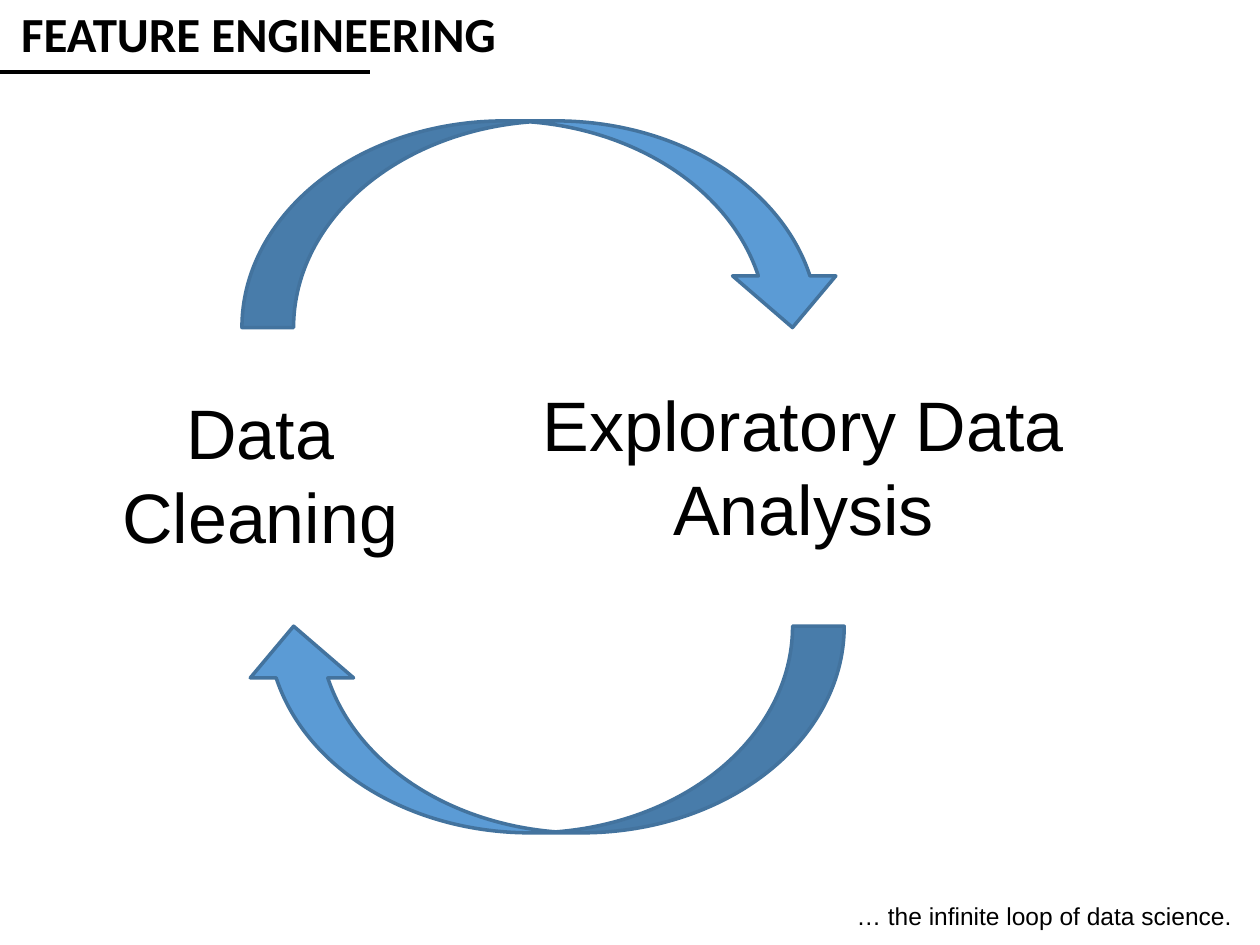
from lxml.etree import SubElement
from pptx import Presentation
from pptx.dml.color import RGBColor
from pptx.enum.shapes import MSO_CONNECTOR, MSO_SHAPE
from pptx.enum.text import PP_ALIGN
from pptx.oxml.ns import qn
from pptx.util import Inches, Pt

COLORS = {"ink": "000000", "arrow": "5B9BD5", "arrow_edge": "43739E"}


class LoopSlide:
    def __init__(self, deck):
        self.page = deck.slides.add_slide(deck.slide_layouts[6])

    def color(self, name):
        return RGBColor.from_string(COLORS[name])

    def text(self, words, left, top, width, height, size,
             font="Arial", bold=False, align=PP_ALIGN.LEFT):
        box = self.page.shapes.add_textbox(
            Inches(left), Inches(top), Inches(width), Inches(height))
        box.text_frame.word_wrap = True
        box.text_frame.text = words
        for para in box.text_frame.paragraphs:
            para.alignment = align
            for span in para.runs:
                span.font.name = font
                span.font.size = Pt(size)
                span.font.bold = bold
                span.font.color.rgb = self.color("ink")

    def loop_arrow(self, top, rotation=0):
        arrow = self.page.shapes.add_shape(
            MSO_SHAPE.CURVED_DOWN_ARROW,
            Inches(1.92), Inches(top), Inches(4.78), Inches(1.64))
        arrow.rotation = rotation
        arrow.shadow.inherit = False
        arrow.fill.solid()
        arrow.fill.fore_color.rgb = self.color("arrow")
        arrow.line.color.rgb = self.color("arrow_edge")
        arrow.line.width = Pt(2)

    def rule(self, left, right, top):
        rule = self.page.shapes.add_connector(
            MSO_CONNECTOR.STRAIGHT,
            Inches(left), Inches(top), Inches(right), Inches(top))
        rule.line.color.rgb = self.color("ink")
        rule.line.width = Pt(2.25)
        SubElement(rule._element.spPr, qn("a:effectLst"))


def main():
    deck = Presentation()
    deck.slide_width = Inches(10)
    deck.slide_height = Inches(7.5)

    slide = LoopSlide(deck)
    slide.text("Exploratory Data\nAnalysis", 4, 2.98, 4.75, 1.45, 40,
               align=PP_ALIGN.CENTER)
    slide.text("Data Cleaning", 0.63, 3.04, 2.87, 1.45, 40,
               align=PP_ALIGN.CENTER)
    slide.loop_arrow(0.96)
    slide.loop_arrow(4.97, rotation=180)
    slide.text("… the infinite loop of data science.", 6.7, 7.1, 4.5, 0.4, 14)
    slide.rule(0, 2.94, 0.57)
    slide.text("FEATURE ENGINEERING", 0.07, -0.02, 5.22, 0.57, 28,
               font="Calibri", bold=True)

    deck.save("out.pptx")


if __name__ == "__main__":
    main()
